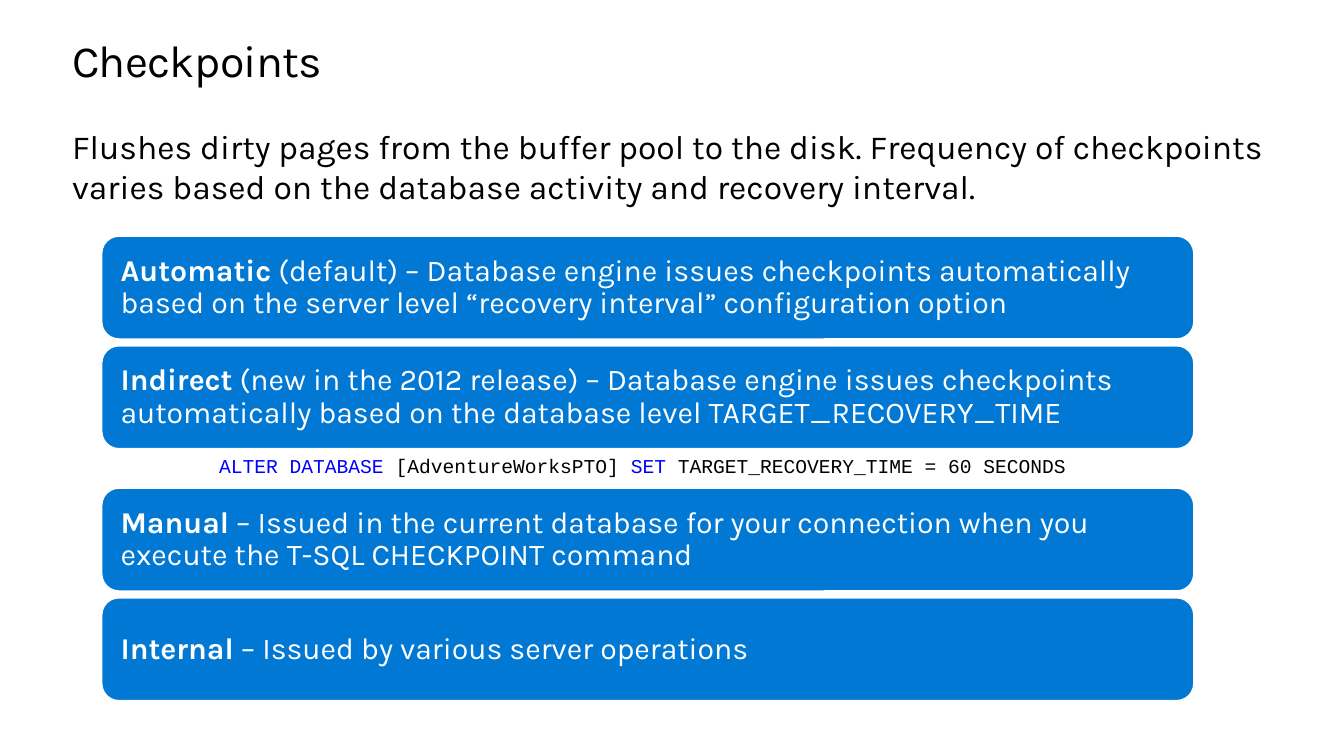
from lxml.etree import SubElement
from pptx import Presentation
from pptx.dml.color import RGBColor
from pptx.enum.shapes import MSO_SHAPE
from pptx.enum.text import MSO_ANCHOR, MSO_AUTO_SIZE, PP_ALIGN
from pptx.oxml.ns import qn
from pptx.util import Inches, Pt

BLACK = RGBColor(0, 0, 0)
WHITE = RGBColor(0xFF, 0xFF, 0xFF)
BLUE = RGBColor(0, 0x78, 0xD4)
KEYWORD = RGBColor(0, 0, 0xFF)

CARD_HEIGHT = 1.04
CARD_PITCH = 1.11
AUTOMATED = [
    ("Automatic", " (default) – Database engine issues checkpoints automatically based on "
                  "the server level “recovery interval” configuration option"),
    ("Indirect", " (new in the 2012 release) – Database engine issues checkpoints "
                 "automatically based on the database level TARGET_RECOVERY_TIME"),
]
ISSUED = [
    ("Manual", " – Issued in the current database for your connection when you execute "
               "the T-SQL CHECKPOINT command"),
    ("Internal", " – Issued by various server operations"),
]
STATEMENT = [
    ("ALTER DATABASE", KEYWORD),
    (" [AdventureWorksPTO] ", BLACK),
    ("SET", KEYWORD),
    (" TARGET_RECOVERY_TIME = 60 SECONDS", BLACK),
]


def add_run(p, text, size, color=BLACK, font="Karla", bold=False):
    r = p.add_run()
    r.text = text
    r.font.name = font
    r.font.size = Pt(size)
    r.font.bold = bold
    r.font.color.rgb = color
    return r


def setup_frame(sp, margins=(0, 0), anchor=MSO_ANCHOR.TOP):
    tf = sp.text_frame
    tf.word_wrap = True
    tf.auto_size = MSO_AUTO_SIZE.NONE
    tf.vertical_anchor = anchor
    tf.margin_left = tf.margin_right = Inches(margins[0])
    tf.margin_top = tf.margin_bottom = Inches(margins[1])
    p = tf.paragraphs[0]
    p.alignment = PP_ALIGN.LEFT
    p.space_before = Pt(0)
    return p


def place(sp, x, y, w, h):
    sp.left, sp.top, sp.width, sp.height = map(Inches, (x, y, w, h))


def add_title(s, x, y, w, h):
    sp = s.shapes.title
    place(sp, x, y, w, h)
    p = setup_frame(sp)
    p.line_spacing = Pt(36.9)
    r = add_run(p, "Checkpoints", 32.6)
    r.font._element.set("spc", "-50")


def add_body(s, x, y, w, h):
    sp = s.placeholders[1]
    place(sp, x, y, w, h)
    p = setup_frame(sp)
    pPr = p._p.get_or_add_pPr()
    pPr.set("marL", "0")
    pPr.set("indent", "0")
    SubElement(pPr, qn("a:buNone"))
    add_run(p, "Flushes dirty pages from the buffer pool to the disk. Frequency of "
               "checkpoints varies based on the database activity and recovery interval.", 24.5)


def add_cards(s, cards, x, y, w):
    for i, (name, description) in enumerate(cards):
        sp = s.shapes.add_shape(MSO_SHAPE.ROUNDED_RECTANGLE, Inches(x),
                                Inches(y + i * CARD_PITCH), Inches(w), Inches(CARD_HEIGHT))
        sp.shadow.inherit = False
        sp.fill.solid()
        sp.fill.fore_color.rgb = BLUE
        sp.line.color.rgb = WHITE
        sp.line.width = Pt(1)
        p = setup_frame(sp, (0.14, 0.14), MSO_ANCHOR.MIDDLE)
        p.line_spacing = 0.9
        add_run(p, name, 22, WHITE, bold=True)
        add_run(p, description, 22, WHITE)


def add_statement(s, x, y, w, h):
    sp = s.shapes.add_textbox(Inches(x), Inches(y), Inches(w), Inches(h))
    p = setup_frame(sp, (0.1, 0.05))
    for text, color in STATEMENT:
        add_run(p, text, 14.3, color, "Courier New")


def main():
    prs = Presentation()
    prs.slide_width, prs.slide_height = Inches(13.6), Inches(7.65)
    s = prs.slides.add_slide(prs.slide_layouts[1])
    add_title(s, 0.73, 0.36, 12.14, 0.51)
    add_body(s, 0.73, 1.27, 12.14, 0.95)
    add_cards(s, AUTOMATED, 1.03, 2.39, 11.05)
    add_statement(s, 2.12, 4.54, 8.86, 0.41)
    add_cards(s, ISSUED, 1.03, 4.94, 11.05)
    prs.save("out.pptx")


if __name__ == "__main__":
    main()
